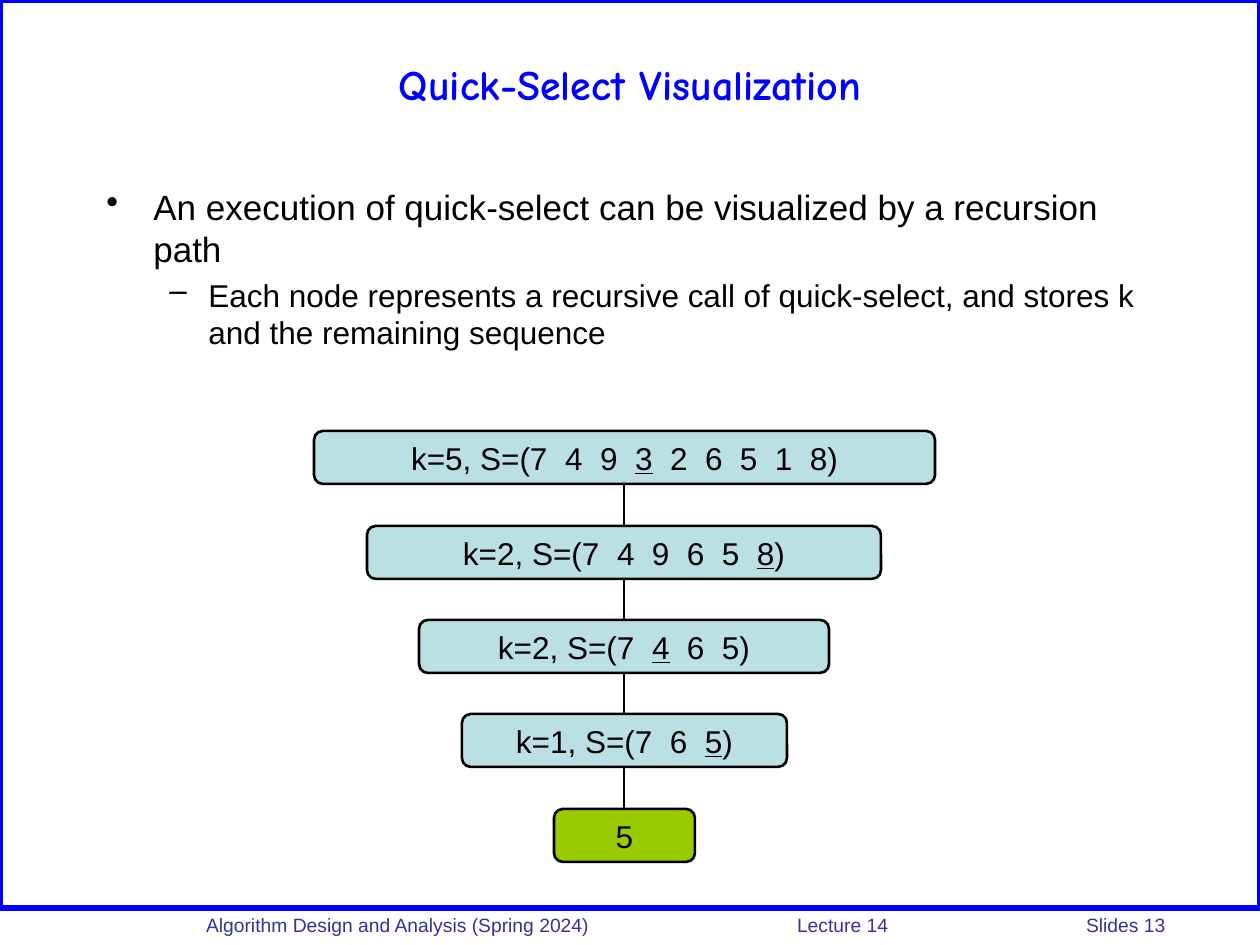
from pptx import Presentation
from pptx.dml.color import RGBColor
from pptx.enum.shapes import MSO_CONNECTOR, MSO_SHAPE
from pptx.enum.text import MSO_ANCHOR, PP_ALIGN
from pptx.oxml import parse_xml
from pptx.oxml.ns import nsdecls
from pptx.util import Pt

SCALE = 914400 / 126
WIDE, HIGH = 1260, 945
BLUE, INK, NAVY = "0000FF", "000000", "333399"
TEAL, GREEN = "BBE0E3", "99CC00"


def emu(*px):
    return [round(n * SCALE) for n in px]


def tint(code):
    return RGBColor.from_string(code)


def add_xml(parent, body):
    """Append one DrawingML element, given without its namespace."""
    tag, rest = body[:-2].split(" ", 1) if " " in body else (body[:-2], "")
    parent.append(parse_xml(f"<{tag} {nsdecls('a')} {rest}/>"))


def put_run(para, text, size=18, font="Arial", color=INK, bold=False,
            under=False, gap=0):
    """Add a run; gap is extra letter spacing in points."""
    run = para.add_run()
    run.text = text
    run.font.size, run.font.name = Pt(size), font
    run.font.bold, run.font.underline = bold, under
    run.font.color.rgb = tint(color)
    if gap:
        run.font._element.set("spc", str(gap * 100))


def text_box(slide, box, anchor=MSO_ANCHOR.TOP):
    frame = slide.shapes.add_textbox(*emu(*box)).text_frame
    frame.word_wrap = True
    frame.vertical_anchor = anchor
    return frame


def panel(slide, kind, box, fill=None, line=INK, width=1.5):
    shape = slide.shapes.add_shape(kind, *emu(*box))
    shape.shadow.inherit = False
    if fill:
        shape.fill.solid()
        shape.fill.fore_color.rgb = tint(fill)
    else:
        shape.fill.background()
    shape.line.color.rgb = tint(line)
    shape.line.width = Pt(width)
    return shape


def title(slide, box, text):
    para = text_box(slide, box, MSO_ANCHOR.MIDDLE).paragraphs[0]
    para.alignment = PP_ALIGN.CENTER
    put_run(para, text, size=24, font="Comic Neue", color=BLUE, bold=True)


def bullets(slide, box, items):
    """Each item is (level, text)."""
    styles = [("•", 47, 47, 20), ("–", 102, 39, 18)]
    frame = text_box(slide, box)
    for i, (level, text) in enumerate(items):
        mark, left, hang, size = styles[level]
        para = frame.add_paragraph() if i else frame.paragraphs[0]
        para.level = level
        props = para._p.get_or_add_pPr()
        left, hang = emu(left, hang)
        props.set("marL", str(left))
        props.set("indent", str(-hang))
        if i:
            para.space_before = Pt(size * 0.2)
        add_xml(props, f'a:buChar char="{mark}"/>')
        put_run(para, text, size=size)


def footer(slide, box, parts, stops):
    """Parts in one line, all but the first at tab stops."""
    frame = text_box(slide, box)
    frame.margin_left = 0
    para = frame.paragraphs[0]
    props = para._p.get_or_add_pPr()
    tabs = parse_xml(f"<a:tabLst {nsdecls('a')}/>")
    for stop in emu(*stops):
        add_xml(tabs, f'a:tab pos="{stop}" algn="l"/>')
    props.append(tabs)
    put_run(para, "\t".join(parts), size=11, color=NAVY)


def node(slide, box, head, seq, pivot, tail, fill):
    shape = panel(slide, MSO_SHAPE.ROUNDED_RECTANGLE, box, fill)
    frame = shape.text_frame
    frame.word_wrap = False
    frame.vertical_anchor = MSO_ANCHOR.MIDDLE
    para = frame.paragraphs[0]
    para.alignment = PP_ALIGN.CENTER
    if head:
        put_run(para, head)
    for i, num in enumerate(seq):
        if i:
            put_run(para, " ", gap=5)
        put_run(para, num, under=num == pivot)
    if tail:
        put_run(para, tail)


def link(slide, x, top, end):
    line = slide.shapes.add_connector(
        MSO_CONNECTOR.STRAIGHT, *emu(x, top, x, end))
    line.line.color.rgb = tint(INK)
    line.line.width = Pt(1.5)
    add_xml(line._element.spPr, "a:effectLst/>")


def call_path(slide, box, calls):
    """Centred nodes at an equal pitch, each linked to the next."""
    left, top, width, height = box
    mid, tall = left + width // 2, 53
    pitch = (height - tall) / (len(calls) - 1)
    for i, (wide, k, seq, pivot) in enumerate(calls):
        y = round(top + i * pitch)
        if i:
            link(slide, mid, round(y - pitch) + tall, y)
        head, tail, fill = (f"k={k}, S=(", ")", TEAL) if k else ("", "", GREEN)
        node(slide, (mid - wide // 2, y, wide, tall),
             head, seq, pivot, tail, fill)


def main():
    deck = Presentation()
    deck.slide_width, deck.slide_height = emu(WIDE, HIGH)
    slide = deck.slides.add_slide(deck.slide_layouts[6])
    panel(slide, MSO_SHAPE.RECTANGLE, (0, 0, WIDE, 908), line=BLUE, width=3)
    footer(slide, (206, 907, 1054, 33),
           ["Algorithm Design and Analysis (Spring 2024)", "Lecture 14",
            "Slides 13"], [591, 880])
    title(slide, (63, 21, 1134, 126), "Quick-Select Visualization")
    bullets(slide, (94, 179, 1081, 273), [
        (0, "An execution of quick-select can be visualized by a recursion "
            "path"),
        (1, "Each node represents a recursive call of quick-select, and "
            "stores k and the remaining sequence")])
    call_path(slide, (314, 431, 621, 431), [
        (621, 5, "749326518", "3"),
        (514, 2, "749658", "8"),
        (410, 2, "7465", "4"),
        (325, 1, "765", "5"),
        (141, None, "5", None)])
    deck.save("out.pptx")


if __name__ == "__main__":
    main()
